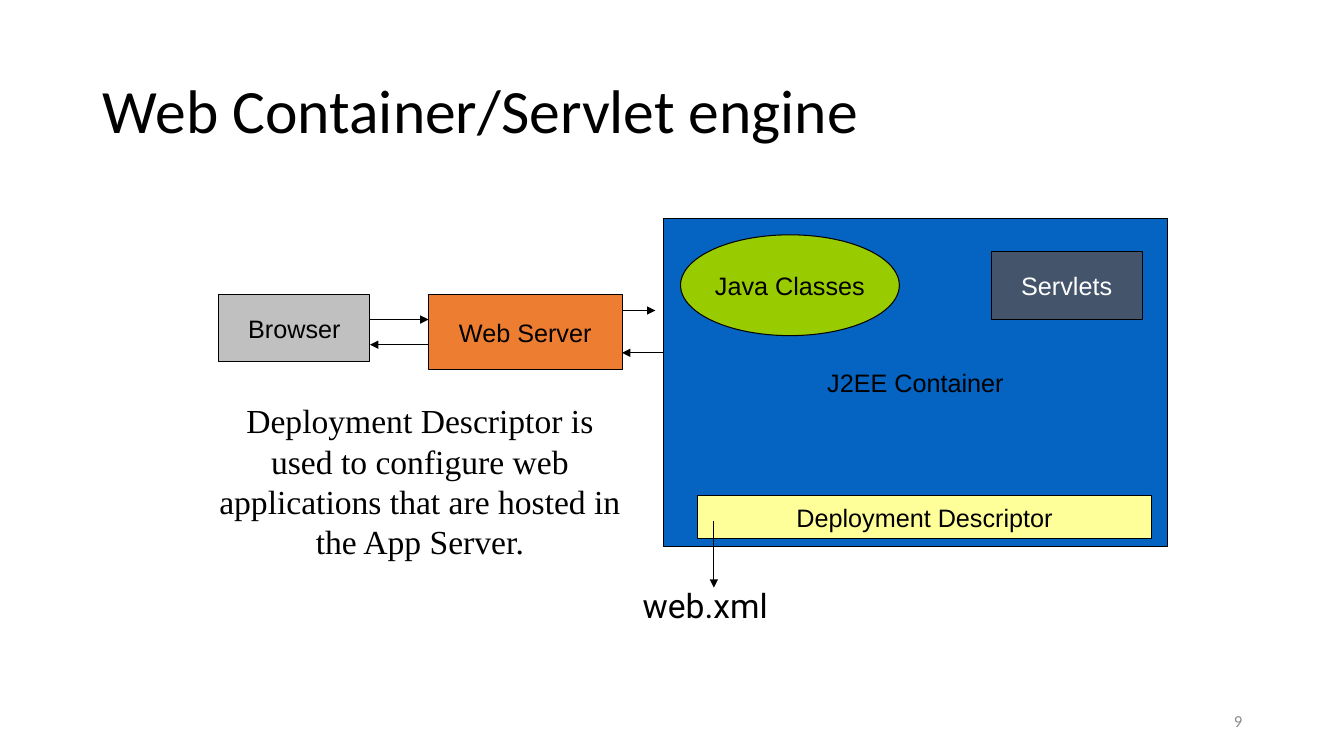
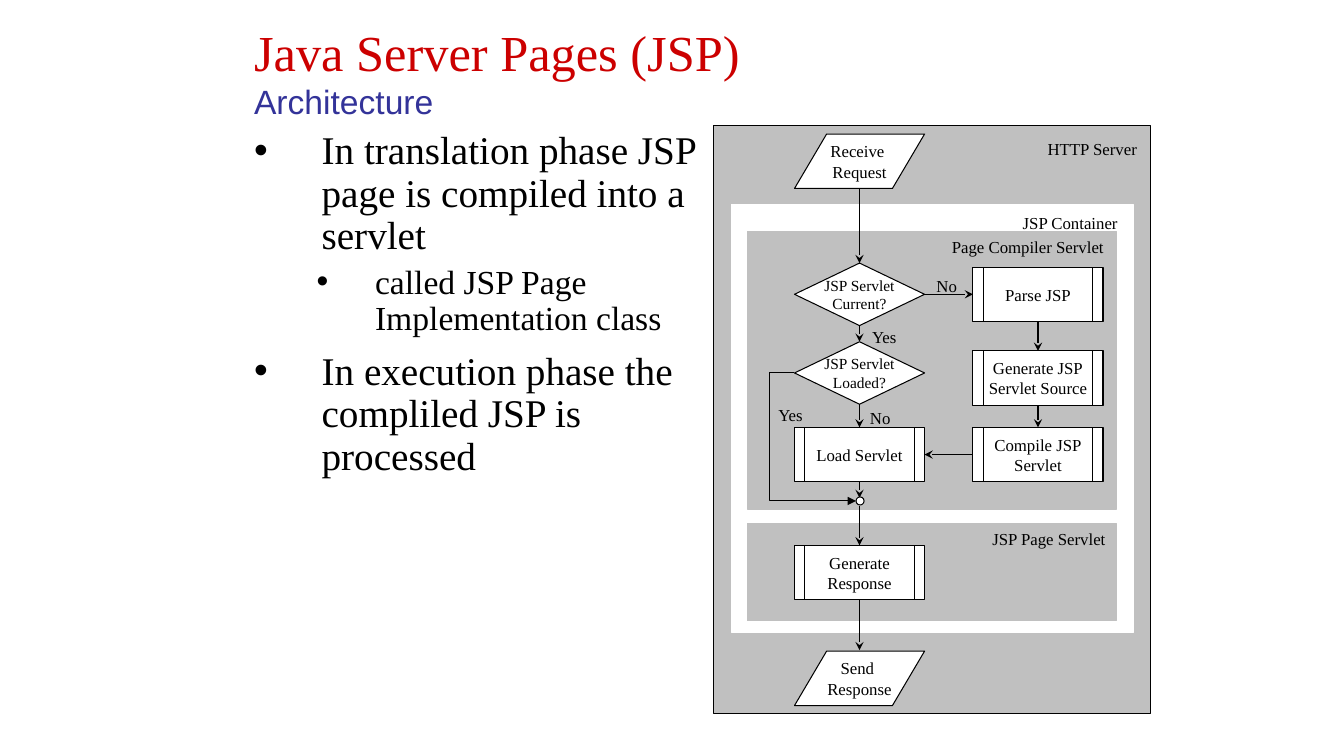
"""Build two slides on web containers and the JSP architecture."""
from dataclasses import dataclass
from typing import Any, Optional

from lxml.etree import SubElement
from pptx import Presentation
from pptx.dml.color import RGBColor
from pptx.enum.shapes import MSO_CONNECTOR as Link, MSO_SHAPE as Kind
from pptx.enum.text import MSO_ANCHOR as Anchor, MSO_AUTO_SIZE as Fit, PP_ALIGN as Align
from pptx.oxml.ns import qn
from pptx.util import Inches, Pt

COLOURS = {
    "black": "000000", "white": "FFFFFF", "grey": "C0C0C0", "page": "8C8C8C",
    "blue": "0563C1", "slate": "44546A", "orange": "ED7D31", "yellow": "FFFF99",
    "green": "99CC00", "red": "CC0000", "indigo": "333399",
}
SERIF = "Times New Roman"
TOP, LEFT, BOTTOM, RIGHT = range(4)
CELL_WIDTH, CELL_HEIGHT, DIAMOND_HEIGHT, BAR_INSET = 1.29, 0.54, 0.62, 0.1
MAIN_LEFT, SIDE_LEFT = 7.88, 9.65
MAIN_CENTRE = MAIN_LEFT + CELL_WIDTH / 2


@dataclass(frozen=True)
class Style:
    font: str
    size: float
    colour: str = "black"


@dataclass(frozen=True)
class Frame:
    left: float
    top: float
    width: float
    height: float

    def lengths(self) -> tuple:
        return tuple(Inches(n) for n in (self.left, self.top, self.width, self.height))


@dataclass(frozen=True)
class Node:
    frame: Frame
    fill: str = "white"
    lines: tuple = ()
    kind: Any = Kind.RECTANGLE
    style: Style = Style(SERIF, 12)
    edge: str = "black"
    bars: bool = False


@dataclass(frozen=True)
class Arrow:
    start: tuple
    end: tuple
    head: Optional[str] = "triangle"


@dataclass(frozen=True)
class Joint:
    source: str
    source_side: int
    target: str
    target_side: int


@dataclass(frozen=True)
class Bullet:
    text: str
    level: int
    margin: float
    hanging: float
    size: float
    before: float


def rgb(name: str) -> RGBColor:
    return RGBColor.from_string(COLOURS[name])


def set_values(target: Any, values: dict) -> None:
    for name, value in values.items():
        setattr(target, name, value)


def add_span(para: Any, text: str, style: Style) -> None:
    span = para.add_run()
    span.text = text
    set_values(span.font, {"name": style.font, "size": Pt(style.size)})
    span.font.color.rgb = rgb(style.colour)


def write_lines(shape: Any, lines: tuple, style: Style, align: Any) -> None:
    for index, line in enumerate(lines):
        frame = shape.text_frame
        para = frame.add_paragraph() if index else frame.paragraphs[0]
        para.alignment = align
        add_span(para, line, style)


def place(shape: Any, frame: Frame) -> None:
    set_values(shape, dict(zip(("left", "top", "width", "height"), frame.lengths())))


def add_title(page: Any, frame: Frame, spans: tuple, spacing: float) -> None:
    title = page.shapes.title
    place(title, frame)
    set_values(title.text_frame, {"auto_size": Fit.NONE, "word_wrap": True,
                                  "vertical_anchor": Anchor.MIDDLE})
    para = title.text_frame.paragraphs[0]
    set_values(para, {"alignment": Align.LEFT, "line_spacing": spacing})
    for index, (text, style) in enumerate(spans):
        if index:
            para.add_line_break()
        add_span(para, text, style)


def add_label(page: Any, frame: Frame, text: str, style: Style,
              align: Any = Align.CENTER, anchor: Any = Anchor.TOP) -> None:
    box = page.shapes.add_textbox(*frame.lengths())
    set_values(box.text_frame, {"word_wrap": True, "vertical_anchor": anchor})
    write_lines(box, (text,), style, align)


def style_line(line: Any, head: Optional[str]) -> None:
    line.line.color.rgb = rgb("black")
    line.line.width = Pt(0.75)
    properties = line.element.spPr
    if head:
        SubElement(properties.find(qn("a:ln")), qn("a:tailEnd"), type=head)
    SubElement(properties, qn("a:effectLst"))


def add_arrow(page: Any, arrow: Arrow, kind: Any = Link.STRAIGHT) -> Any:
    ends = [Inches(n) for n in (*arrow.start, *arrow.end)]
    line = page.shapes.add_connector(kind, *ends)
    style_line(line, arrow.head)
    return line


def add_joint(page: Any, joint: Joint, shapes: dict) -> None:
    line = page.shapes.add_connector(Link.STRAIGHT, 0, 0, 0, 0)
    line.begin_connect(shapes[joint.source], joint.source_side)
    line.end_connect(shapes[joint.target], joint.target_side)
    style_line(line, "stealth")


def add_node(page: Any, node: Node) -> Any:
    shape = page.shapes.add_shape(node.kind, *node.frame.lengths())
    shape.shadow.inherit = False
    shape.fill.solid()
    shape.fill.fore_color.rgb = rgb(node.fill)
    shape.line.color.rgb = rgb(node.edge)
    shape.line.width = Pt(0.75)
    if node.kind == Kind.PARALLELOGRAM:
        shape.adjustments[0] = 0.59
    set_values(shape.text_frame, {"word_wrap": False, "vertical_anchor": Anchor.MIDDLE})
    write_lines(shape, node.lines, node.style, Align.CENTER)
    if node.bars:
        area = node.frame
        for x in (area.left + BAR_INSET, area.left + area.width - BAR_INSET):
            add_arrow(page, Arrow((x, area.top), (x, area.top + area.height), None))
    return shape


def add_bullets(body: Any, bullets: tuple) -> None:
    for index, bullet in enumerate(bullets):
        frame = body.text_frame
        para = frame.add_paragraph() if index else frame.paragraphs[0]
        properties = para._p.get_or_add_pPr()
        properties.set("marL", str(Inches(bullet.margin)))
        properties.set("indent", str(-Inches(bullet.hanging)))
        SubElement(properties, qn("a:buFont"), typeface="Arial")
        SubElement(properties, qn("a:buChar"), char="•")
        set_values(para, {"level": bullet.level, "line_spacing": 0.9,
                          "space_before": Pt(bullet.before if index else 0)})
        add_span(para, bullet.text, Style(SERIF, bullet.size))


def build_container_page(deck: Any) -> None:
    page = deck.slides.add_slide(deck.slide_layouts[5])
    add_title(page, Frame(0.92, 0.4, 11.5, 1.45),
              (("Web Container/Servlet engine", Style("Calibri", 44)),), 0.9)
    add_label(page, Frame(9.42, 6.95, 3, 0.4), "9", Style("Calibri", 12, "page"),
              Align.RIGHT, Anchor.MIDDLE)
    dark, light = Style("Arial", 18), Style("Arial", 18, "white")
    for node in (
        Node(Frame(6.58, 2.17, 5, 3.25), "blue", ("J2EE Container",), style=dark),
        Node(Frame(2.17, 2.92, 1.5, 0.67), "grey", ("Browser",), style=dark),
        Node(Frame(9.83, 2.5, 1.5, 0.67), "slate", ("Servlets",), style=light),
        Node(Frame(4.25, 2.92, 1.92, 0.75), "orange", ("Web Server",), style=dark),
        Node(Frame(6.92, 4.92, 4.5, 0.42), "yellow", ("Deployment Descriptor",), style=dark),
        Node(Frame(6.75, 2.33, 2.17, 1), "green", ("Java Classes",), Kind.OVAL, dark),
    ):
        add_node(page, node)
    for arrow in (
        Arrow((3.67, 3.17), (4.25, 3.17)),
        Arrow((4.25, 3.42), (3.67, 3.42)),
        Arrow((6.17, 3.08), (6.5, 3.08)),
        Arrow((6.58, 3.5), (6.17, 3.5)),
        Arrow((7.08, 5.17), (7.08, 5.83)),
    ):
        add_arrow(page, arrow)
    add_label(page, Frame(6.08, 5.75, 1.83, 0.5), "web.xml", Style("Roboto", 24))
    add_label(page, Frame(2, 3.92, 4.33, 1.72),
              "Deployment Descriptor is used to configure web applications "
              "that are hosted in the App Server.", Style(SERIF, 24))


def add_flowchart(page: Any) -> None:
    for node in (
        Node(Frame(7.08, 1.25, 4.33, 5.83), "grey"),
        Node(Frame(7.26, 2.03, 3.98, 4.25), edge="white"),
        Node(Frame(7.41, 2.3, 3.66, 2.75), "grey", edge="grey"),
        Node(Frame(7.41, 5.19, 3.66, 0.97), "grey", edge="grey"),
    ):
        add_node(page, node)

    def cell(left: float, top: float, height: float = CELL_HEIGHT) -> Frame:
        return Frame(left, top, CELL_WIDTH, height)

    def process(left: float, top: float, *lines: str) -> Node:
        return Node(cell(left, top), lines=lines, bars=True)

    def request(top: float, *lines: str) -> Node:
        return Node(cell(MAIN_LEFT, top), lines=lines, kind=Kind.PARALLELOGRAM)

    def decision(top: float, word: str) -> Node:
        return Node(cell(MAIN_LEFT, top, DIAMOND_HEIGHT), lines=("JSP Servlet", word),
                    kind=Kind.DIAMOND, style=Style(SERIF, 11))

    nodes = {
        "send": request(6.46, "Send ", "Response"),
        "receive": request(1.33, "Receive ", "Request"),
        "load": process(MAIN_LEFT, 4.24, "Load Servlet"),
        "compile": process(SIDE_LEFT, 4.24, "Compile JSP", "Servlet"),
        "source": process(SIDE_LEFT, 3.48, "Generate JSP", "Servlet Source"),
        "parse": process(SIDE_LEFT, 2.65, "Parse JSP"),
        "current": decision(2.61, "Current?"),
        "loaded": decision(3.39, "Loaded?"),
        "respond": process(MAIN_LEFT, 5.41, "Generate", "Response"),
    }
    shapes = {name: add_node(page, node) for name, node in nodes.items()}
    for joint in (
        Joint("parse", BOTTOM, "source", TOP),
        Joint("source", BOTTOM, "compile", TOP),
        Joint("current", RIGHT, "parse", LEFT),
        Joint("current", BOTTOM, "loaded", TOP),
        Joint("loaded", BOTTOM, "load", TOP),
        Joint("compile", LEFT, "load", RIGHT),
    ):
        add_joint(page, joint, shapes)
    drops = {}
    for name, start, end in (("receive", 1.87, 2.61), ("load", 4.78, 4.94),
                             ("merge", 5.02, 5.41), ("respond", 5.95, 6.45)):
        drops[name] = add_arrow(page, Arrow((MAIN_CENTRE, start), (MAIN_CENTRE, end), "stealth"))
    drops["receive"].end_connect(shapes["current"], TOP)
    drops["load"].begin_connect(shapes["load"], BOTTOM)
    drops["merge"].end_connect(shapes["respond"], TOP)
    drops["respond"].begin_connect(shapes["respond"], BOTTOM)
    add_node(page, Node(Frame(8.49, 4.93, 0.08, 0.08), kind=Kind.OVAL))
    bypass = add_arrow(page, Arrow((MAIN_LEFT, 3.7), (8.49, 4.97)), Link.ELBOW)
    geometry = bypass.element.spPr.find(qn("a:prstGeom"))
    SubElement(geometry.find(qn("a:avLst")), qn("a:gd"), name="adj1", fmla="val -40000")
    for text, left, top, width in (
        ("Yes", 8.41, 3.19, 0.72), ("No", 9.12, 2.69, 0.54),
        ("No", 8.46, 4, 0.54), ("Yes", 7.48, 3.97, 0.72),
        ("HTTP Server ", 10.21, 1.33, 1.29), ("JSP Container ", 9.99, 2.06, 1.29),
        ("Page Compiler Servlet ", 9.17, 2.3, 2.09), ("JSP Page Servlet ", 9.7, 5.2, 1.45),
    ):
        add_label(page, Frame(left, top, width, 0.3), text, Style(SERIF, 12))


def build_architecture_page(deck: Any) -> None:
    page = deck.slides.add_slide(deck.slide_layouts[1])
    add_title(page, Frame(2.42, 0.08, 8.5, 1.25),
              (("Java Server Pages (JSP) ", Style(SERIF, 36, "red")),
               ("Architecture", Style("Arial", 24, "indigo"))), 1.0)
    body = page.placeholders[1]
    place(body, Frame(2.42, 1.25, 4.67, 5.92))
    set_values(body.text_frame, {"auto_size": Fit.NONE, "word_wrap": True})
    add_bullets(body, (
        Bullet("In translation phase JSP page is compiled into a servlet", 0, 0.67, 0.67, 28, 10),
        Bullet("called JSP Page Implementation class", 1, 1.2, 0.58, 24, 5),
        Bullet("In execution phase the compliled JSP is processed", 0, 0.67, 0.67, 28, 10),
    ))
    add_flowchart(page)


def main() -> None:
    deck = Presentation()
    set_values(deck, {"slide_width": Inches(13.33), "slide_height": Inches(7.5)})
    build_container_page(deck)
    build_architecture_page(deck)
    deck.save("out.pptx")


if __name__ == "__main__":
    main()
